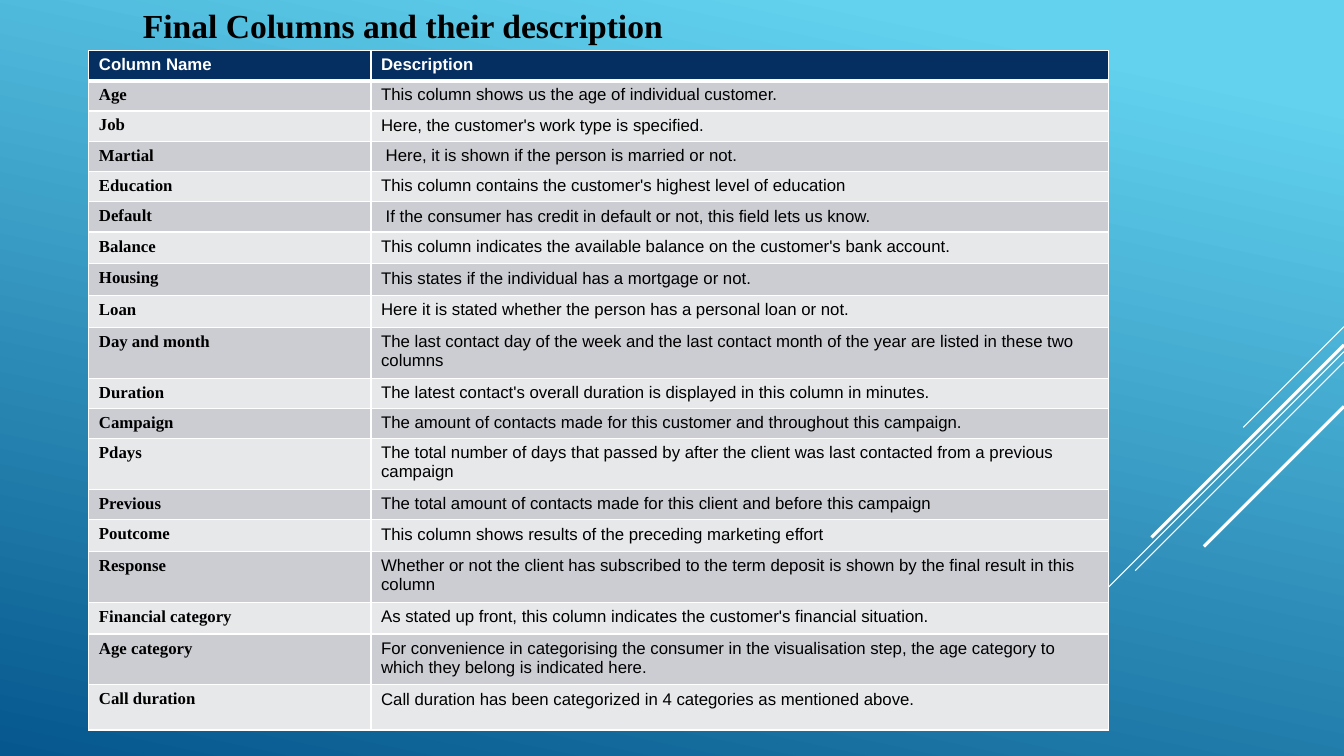
from dataclasses import dataclass

from lxml.etree import SubElement
from pptx import Presentation
from pptx.dml.color import RGBColor
from pptx.enum.shapes import MSO_CONNECTOR
from pptx.enum.text import MSO_AUTO_SIZE
from pptx.oxml import parse_xml
from pptx.oxml.ns import nsdecls, qn
from pptx.util import Cm, Pt

HEX = {
    "sky": "62D2EF", "deep": "05578D", "navy": "052F61", "white": "FFFFFF",
    "black": "000000", "dark": "CCCDD2", "light": "E7E8EA",
}
SANS, SERIF = "Arial", "Times New Roman"
WIDE, HIGH = 33.87, 19.05
ONE, MORE, TWO, LAST = 0.76, 0.8, 1.28, 1.14  # row heights in cm


@dataclass
class Streak:
    top: float   # height at the right edge of the slide, cm
    run: float   # reach to the left and down, cm
    width: float


@dataclass
class Row:
    name: str
    text: str
    high: float = ONE


STREAKS = [
    Streak(8.23, 2.54, 0.75),
    Streak(8.86, 8.28, 0.75),
    Streak(9.12, 5.26, 0.75),
    Streak(8.69, 4.85, 2.25),
    Streak(10.24, 3.53, 2.25),
]

ROWS = [
    Row("Column Name", "Description"),
    Row("Age", "This column shows us the age of individual customer."),
    Row("Job", "Here, the customer's work type is specified."),
    Row("Martial", " Here, it is shown if the person is married or not."),
    Row("Education", "This column contains the customer's highest level of education"),
    Row("Default", " If the consumer has credit in default or not, this field lets us know."),
    Row("Balance", "This column indicates the available balance on the customer's bank account.", MORE),
    Row("Housing", "This states if the individual has a mortgage or not.", MORE),
    Row("Loan", "Here it is stated whether the person has a personal loan or not.", MORE),
    Row("Day and month", "The last contact day of the week and the last contact month of the year "
        "are listed in these two columns", TWO),
    Row("Duration", "The latest contact's overall duration is displayed in this column in minutes."),
    Row("Campaign", "The amount of contacts made for this customer and throughout this campaign."),
    Row("Pdays", "The total number of days that passed by after the client was last contacted "
        "from a previous campaign", TWO),
    Row("Previous", "The total amount of contacts made for this client and before this campaign"),
    Row("Poutcome", "This column shows results of the preceding marketing effort", MORE),
    Row("Response", "Whether or not the client has subscribed to the term deposit is shown by "
        "the final result in this column", TWO),
    Row("Financial category", "As stated up front, this column indicates the customer's financial situation.",
        MORE),
    Row("Age category", "For convenience in categorising the consumer in the visualisation step, "
        "the age category to which they belong is indicated here.", TWO),
    Row("Call duration", "Call duration has been categorized in 4 categories as mentioned above.", LAST),
]


def tint(key: str) -> RGBColor:
    return RGBColor.from_string(HEX[key])


def write(frame, text: str, size: float, face: str, key: str, bold: bool) -> None:
    run = frame.paragraphs[0].add_run()
    run.text = text
    form = {"size": Pt(size), "name": face, "bold": bold}
    for name, value in form.items():
        setattr(run.font, name, value)
    run.font.color.rgb = tint(key)


def paint(slide) -> None:
    fill = slide.background.fill
    fill.gradient()
    fill.gradient_angle = 258
    for stop, key, place in zip(fill.gradient_stops, ("sky", "deep"), (0.1, 1)):
        stop.color.rgb = tint(key)
        stop.position = place


def draw(slide, item: Streak) -> None:
    line = slide.shapes.add_connector(
        MSO_CONNECTOR.STRAIGHT, Cm(WIDE), Cm(item.top),
        Cm(WIDE - item.run), Cm(item.top + item.run))
    line.line.color.rgb = tint("white")
    line.line.width = Pt(item.width)
    SubElement(line._element.spPr, qn("a:effectLst"))


def edge(cell, sides: dict[str, float]) -> None:
    props = cell._tc.get_or_add_tcPr()
    for place, (side, width) in enumerate(sides.items()):
        props.insert(place, parse_xml(
            f'<a:ln{side} {nsdecls("a")} w="{Pt(width)}"><a:solidFill>'
            f'<a:srgbClr val="{HEX["white"]}"/></a:solidFill></a:ln{side}>'))


def fill_row(grid, spot: int, item: Row) -> None:
    grid.rows[spot].height = Cm(item.high)
    head = spot == 0
    back = "navy" if head else ("light", "dark")[spot % 2]
    sides = {"L": 1, "R": 1, "T": 3 if spot == 1 else 1, "B": 3 if head else 1}
    for col, text in enumerate((item.name, item.text)):
        cell = grid.cell(spot, col)
        cell.fill.solid()
        cell.fill.fore_color.rgb = tint(back)
        edge(cell, sides)
        first = col == 0
        write(cell.text_frame, text, 12, SERIF if first and not head else SANS,
              "white" if head else "black", head or first)


def main() -> None:
    deck = Presentation()
    deck.slide_width, deck.slide_height = Cm(WIDE), Cm(HIGH)
    slide = deck.slides.add_slide(deck.slide_layouts[6])

    # Background and streaks
    paint(slide)
    for item in STREAKS:
        draw(slide, item)

    # Title
    frame = slide.shapes.add_textbox(Cm(3.35), Cm(0), Cm(18.77), Cm(1.27)).text_frame
    for name, value in {"word_wrap": True, "auto_size": MSO_AUTO_SIZE.SHAPE_TO_FIT_TEXT}.items():
        setattr(frame, name, value)
    write(frame, "Final Columns and their description", 24, SERIF, "black", True)

    # Table
    cols = (7.11, 18.59)
    high = sum(item.high for item in ROWS)
    grid = slide.shapes.add_table(
        len(ROWS), len(cols), Cm(2.24), Cm(1.27), Cm(sum(cols)), Cm(high)).table
    for col, width in zip(grid.columns, cols):
        col.width = Cm(width)
    for spot, item in enumerate(ROWS):
        fill_row(grid, spot, item)

    deck.save("out.pptx")


if __name__ == "__main__":
    main()
